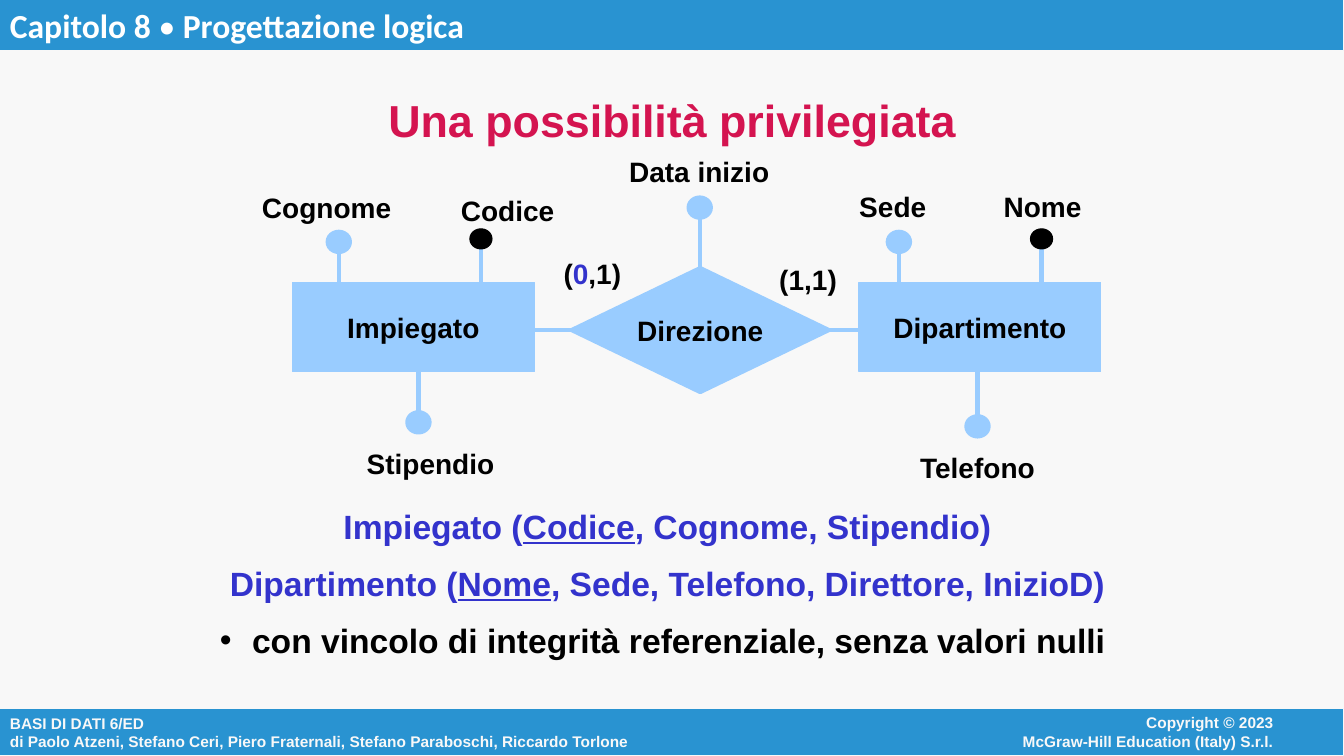
import dataclasses

import lxml.etree
import pptx
import pptx.dml.color
import pptx.enum.shapes
import pptx.enum.text
import pptx.oxml.ns
import pptx.util

COLORS = {
    "paper": "F8F8F8", "bar": "2993D1", "white": "FFFFFF", "title": "D41450",
    "schema": "3333CC", "entity": "99CCFF", "ink": "000000",
}
CELL = pptx.util.Inches(0.1)
COLUMNS, ROWS = 133.3, 75
SHAPE = pptx.enum.shapes.MSO_SHAPE
ALIGN = pptx.enum.text.PP_ALIGN
ANCHOR = pptx.enum.text.MSO_ANCHOR
qn = pptx.oxml.ns.qn


@dataclasses.dataclass
class Box:
    left: float
    top: float
    width: float
    height: float

    def inner(self, left, top, width, height):
        return Box(self.left + left, self.top + top, width, height)

    def emu(self):
        return [round(side * CELL) for side in (self.left, self.top, self.width, self.height)]


def rgb(name):
    return pptx.dml.color.RGBColor.from_string(COLORS[name])


def style(para, size, color, align=ALIGN.LEFT, font="Arial"):
    para.alignment = align
    para.font.size = pptx.util.Pt(size)
    para.font.name = font
    para.font.bold = True
    para.font.color.rgb = rgb(color)


def write(shape, lines, size, color, align=ALIGN.LEFT, anchor=ANCHOR.MIDDLE, font="Arial"):
    frame = shape.text_frame
    frame.word_wrap = False
    frame.vertical_anchor = anchor
    frame.text = "\n".join(lines)
    for para in frame.paragraphs:
        style(para, size, color, align, font)
    return frame


def add_block(page, kind, box, fill, line, weight):
    shape = page.shapes.add_shape(kind, *box.emu())
    shape.shadow.inherit = False
    shape.fill.solid()
    shape.fill.fore_color.rgb = rgb(fill)
    shape.line.color.rgb = rgb(line)
    shape.line.width = pptx.util.Pt(weight)
    return shape


def add_line(page, x1, y1, x2, y2):
    ends = [round(value * CELL) for value in (x1, y1, x2, y2)]
    line = page.shapes.add_connector(pptx.enum.shapes.MSO_CONNECTOR.STRAIGHT, *ends)
    line.line.color.rgb = rgb("entity")
    line.line.width = pptx.util.Pt(3)
    lxml.etree.SubElement(line._element.spPr, qn("a:effectLst"))


def add_label(page, x, y, text):
    label = page.shapes.add_textbox(*Box(x - 8, y - 2.15, 16, 4.3).emu())
    return write(label, [text], 20, "ink", ALIGN.CENTER)


def add_header(page, box):
    bar = add_block(page, SHAPE.RECTANGLE, box, "bar", "paper", 0)
    para = write(bar, [""], 24, "white", anchor=ANCHOR.TOP, font="Calibri").paragraphs[0]
    for text, bold in (("Capitolo 8 ", True), ("•", False), (" Progettazione logica", True)):
        span = para.add_run()
        span.text = text
        span.font.bold = bold


def add_footer(page, box):
    bar = add_block(page, SHAPE.RECTANGLE, box, "bar", "paper", 0.75)
    write(bar, ["BASI DI DATI 6/ED",
                "di Paolo Atzeni, Stefano Ceri, Piero Fraternali, Stefano Paraboschi, Riccardo Torlone"],
          11, "paper")
    notice = page.shapes.add_textbox(*box.inner(88.9, 0, 38.4, box.height).emu())
    write(notice, ["Copyright © 2023", "McGraw-Hill Education (Italy) S.r.l."],
          11, "paper", ALIGN.RIGHT, ANCHOR.TOP)


def place(holder, box):
    holder.left, holder.top, holder.width, holder.height = box.emu()
    holder.text_frame.auto_size = pptx.enum.text.MSO_AUTO_SIZE.NONE


def add_title(page, box):
    title = page.shapes.title
    place(title, box)
    write(title, ["Una possibilità privilegiata"], 32, "title", ALIGN.CENTER)


def add_schema(page, box):
    body = page.placeholders[1]
    place(body, box)
    frame = body.text_frame
    frame.word_wrap = True
    frame.vertical_anchor = ANCHOR.TOP
    relations = (
        ("schema", ("Impiegato (", "Codice", ", Cognome, Stipendio)")),
        ("schema", ("Dipartimento (", "Nome", ", Sede, Telefono, Direttore, InizioD)")),
        ("ink", ("con vincolo di integrità referenziale, senza valori nulli",)),
    )
    for row, (color, texts) in enumerate(relations):
        para = frame.add_paragraph() if row else frame.paragraphs[0]
        para.space_before = pptx.util.Pt(12 if row else 0)
        props = para._p.get_or_add_pPr()
        props.set("marL", str(round(3.2 * CELL)))
        props.set("indent", str(round(-3.2 * CELL)))
        bulleted = len(texts) == 1
        if bulleted:
            lxml.etree.SubElement(props, qn("a:buChar")).set("char", "•")
        else:
            lxml.etree.SubElement(props, qn("a:buNone"))
        style(para, 24, color, ALIGN.LEFT if bulleted else ALIGN.CENTER)
        for index, text in enumerate(texts):
            span = para.add_run()
            span.text = text
            if index == 1:
                span.font.underline = True


def add_attribute(page, owner, name, across, reach, label_dx, label_dy, color="entity"):
    x = owner.left + across
    edge = owner.top if reach < 0 else owner.top + owner.height
    y = edge + reach
    add_line(page, x, y, x, edge)
    add_block(page, SHAPE.OVAL, Box(x - 1.1, y - 1, 2.2, 2), color, color,
              3 if color == "entity" else 0.75)
    add_label(page, x + label_dx, y + label_dy, name)


def add_diagram(page, box):
    employee = box.inner(4, 13, 24, 8.9)
    department = box.inner(60.2, 13, 24, 8.9)
    management = box.inner(31.7, 11.6, 25.5, 12.3)
    axis = management.top + management.height / 2

    attributes = (
        (employee, "Cognome", 4.6, -4, -1.2, -3.45),
        (employee, "Codice", 18.7, -4.3, 2.65, -2.85, "ink"),
        (employee, "Stipendio", 12.5, 5, 1.2, 4.05),
        (management, "Data inizio", 12.7, -6, -0.05, -3.65),
        (department, "Sede", 3.95, -4, -0.6, -3.5),
        (department, "Nome", 18.1, -4.3, 0.1, -3.2, "ink"),
        (department, "Telefono", 11.75, 5.4, 0, 4.1),
    )
    for attribute in attributes:
        add_attribute(page, *attribute)

    add_line(page, employee.left + employee.width, axis, department.left, axis)
    nodes = (
        (SHAPE.RECTANGLE, employee, "Impiegato", 0.75),
        (SHAPE.RECTANGLE, department, "Dipartimento", 0.75),
        (SHAPE.DIAMOND, management, "Direzione", 3),
    )
    for kind, area, name, weight in nodes:
        node = add_block(page, kind, area, "entity", "entity", weight)
        write(node, [name], 20, "ink", ALIGN.CENTER)

    optional = add_label(page, box.left + 33.75, box.top + 12.15, "").paragraphs[0]
    for text, color in (("(", "ink"), ("0", "schema"), (",1)", "ink")):
        span = optional.add_run()
        span.text = text
        span.font.color.rgb = rgb(color)
    add_label(page, box.left + 55.15, box.top + 12.75, "(1,1)")


def main():
    deck = pptx.Presentation()
    deck.slide_width = round(COLUMNS * CELL)
    deck.slide_height = ROWS * CELL
    page = deck.slides.add_slide(deck.slide_layouts[1])
    page.background.fill.solid()
    page.background.fill.fore_color.rgb = rgb("paper")
    add_footer(page, Box(0, 70.3, COLUMNS, 4.7))
    add_header(page, Box(0, 0, COLUMNS, 5))
    add_title(page, Box(15.5, 9.9, 102.4, 3.9))
    add_schema(page, Box(20.8, 49.7, 90.8, 16.3))
    add_diagram(page, Box(25, 15, 84.2, 33.5))
    deck.save("out.pptx")


if __name__ == "__main__":
    main()
